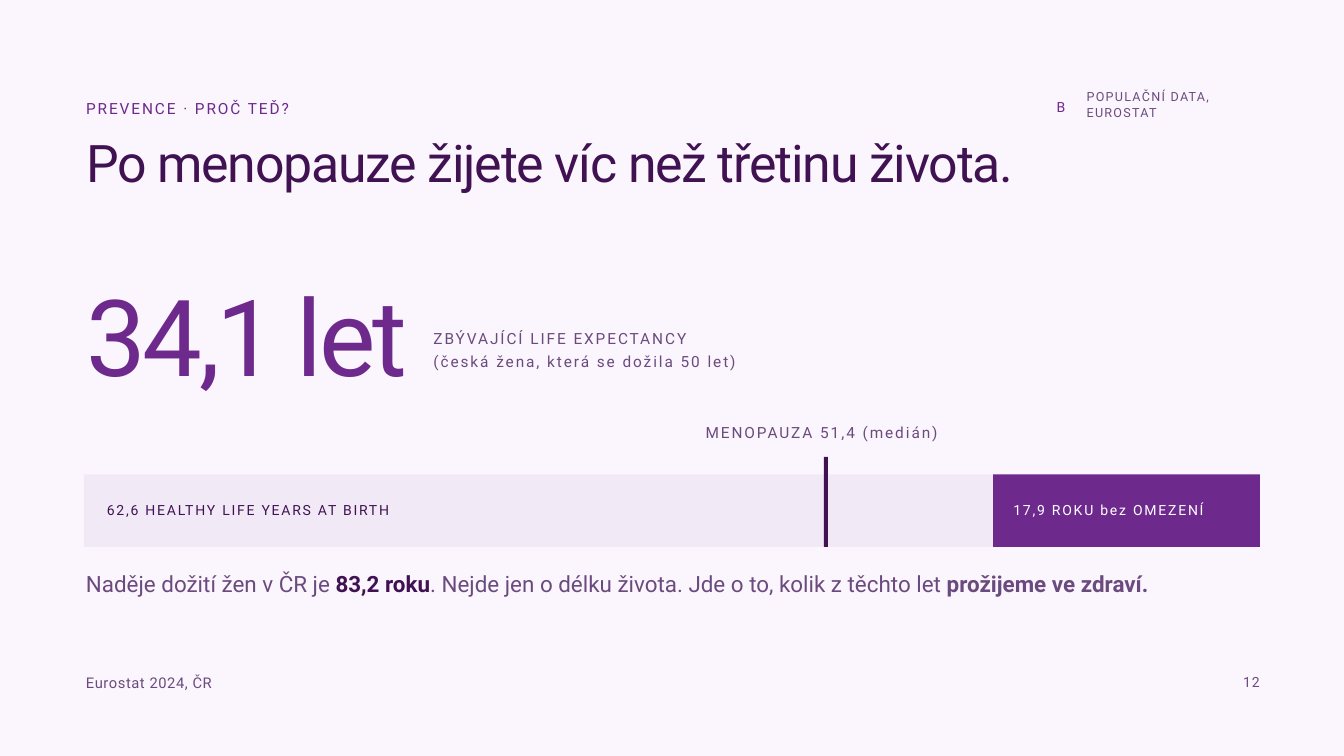
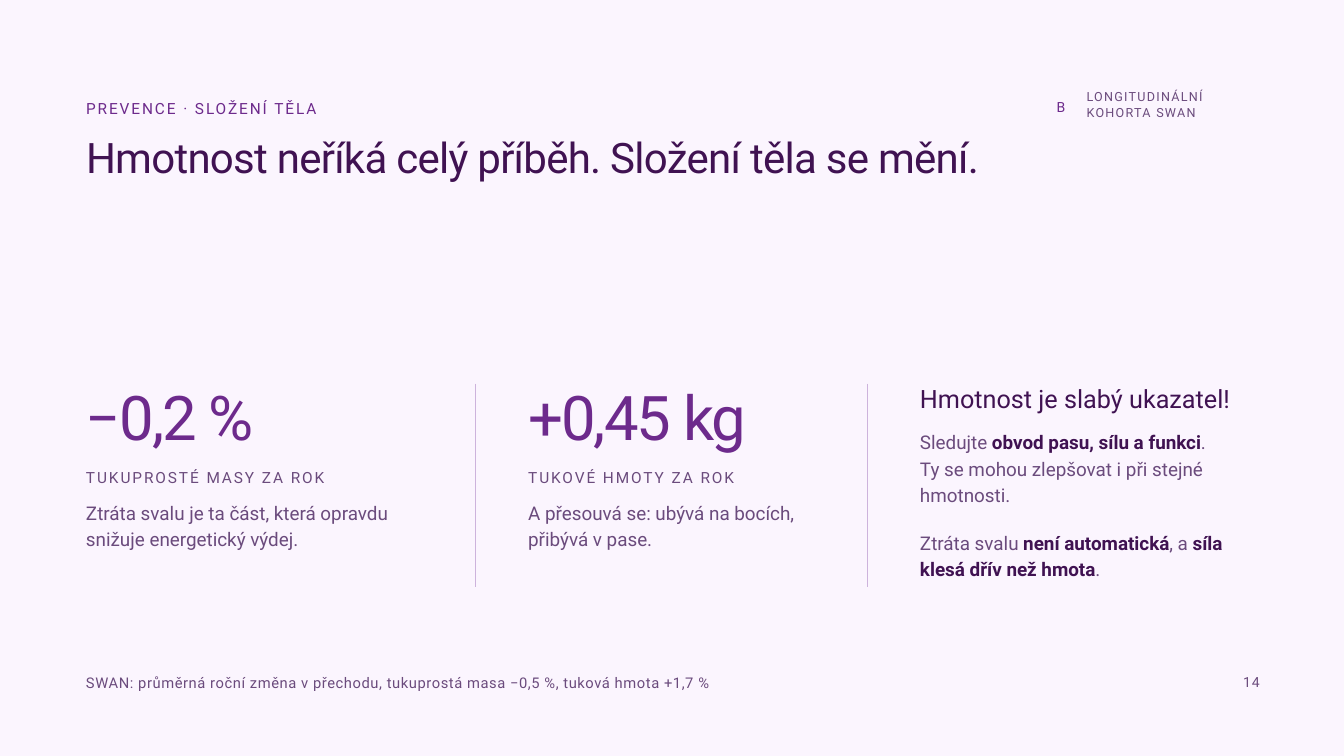
"""Build two slides on life after menopause: remaining years and body composition."""
from dataclasses import dataclass

from lxml import etree
from pptx import Presentation
from pptx.dml.color import RGBColor
from pptx.enum import shapes, text
from pptx.oxml import ns
from pptx.util import Inches, Pt

BACKGROUND = RGBColor(0xFB, 0xF5, 0xFE)
PURPLE = RGBColor(0x6D, 0x2A, 0x8C)
DARK = RGBColor(0x40, 0x12, 0x52)
MUTED = RGBColor(0x6B, 0x4B, 0x7D)
DIVIDER = RGBColor(0xCD, 0xB3, 0xDC)
WHITE = RGBColor(0xFF, 0xFF, 0xFF)
FONT = "Roboto"
MARGIN = 1.28


@dataclass(frozen=True)
class TextStyle:
    size: float
    leading: float
    color: RGBColor
    spacing: float = 0


EYEBROW = TextStyle(16.5, 24.8, PURPLE, 2.1)
CAPTION = TextStyle(16.5, 24.8, MUTED, 2.1)
TITLE = TextStyle(55.5, 56.7, DARK, -1.3)
LONG_TITLE = TextStyle(45, 47.4, DARK, -0.8)
GRADE = TextStyle(15, 22.4, PURPLE)
EVIDENCE = TextStyle(13.5, 16.8, MUTED, 1.4)
HERO = TextStyle(114, 94.5, PURPLE, -3.4)
FIGURE = TextStyle(66, 60.9, PURPLE, -2)
BAR_DARK = TextStyle(15, 22.4, DARK, 1.9)
BAR_WHITE = TextStyle(15, 22.4, WHITE, 1.9)
SUMMARY = TextStyle(24, 33.3, MUTED)
BODY = TextStyle(20.2, 28.1, MUTED)
HEADING = TextStyle(27, 30.1, DARK)
SOURCE = TextStyle(15.8, 22.8, MUTED, 0.6)
PAGE = TextStyle(15, 22.4, MUTED, 0.9)


class Deck:
    """Holds the presentation and the slide being drawn."""

    def __init__(self):
        self.presentation = Presentation()
        self.presentation.slide_width = Inches(20)
        self.presentation.slide_height = Inches(11.25)
        self.slide = None

    def add_slide(self, eyebrow, title, title_style, title_top, evidence, source, page):
        """Start a slide with its heading, evidence grade and footer."""
        self.slide = self.presentation.slides.add_slide(self.presentation.slide_layouts[6])
        fill = self.slide.background.fill
        fill.solid()
        fill.fore_color.rgb = BACKGROUND
        self.text(EYEBROW, MARGIN, 1.41, 4.22, 0.35, eyebrow)
        self.text(title_style, MARGIN, title_top, 15.99, 0.77, title)
        self.centered_text(GRADE, 15.56, 1.33, 0.46, 0.46, "B")
        self.text(EVIDENCE, 16.17, 1.32, 2.63, 0.51, evidence)
        self.text(SOURCE, MARGIN, 9.97, 14.84, 0.31, source)
        self.text(PAGE, 18.5, 9.96, 0.3, 0.39, page)

    def text(self, style, left, top, width, height, *paragraphs):
        """Add a text box; a paragraph is a string or a list of strings and (bold text, color)."""
        box = self.slide.shapes.add_textbox(
            Inches(left), Inches(top), Inches(width), Inches(height))
        frame = box.text_frame
        frame.word_wrap = True
        frame.auto_size = text.MSO_AUTO_SIZE.SHAPE_TO_FIT_TEXT
        frame.margin_left = frame.margin_right = frame.margin_top = frame.margin_bottom = 0
        for index, content in enumerate(paragraphs):
            paragraph = frame.add_paragraph() if index else frame.paragraphs[0]
            paragraph.line_spacing = Pt(style.leading)
            font = paragraph.font
            font.name, font.size = FONT, Pt(style.size)
            font.color.rgb = style.color
            if style.spacing:
                properties = paragraph._p.pPr.find(ns.qn("a:defRPr"))
                properties.set("spc", str(round(style.spacing * 100)))
            for piece in [content] if isinstance(content, str) else content:
                run = paragraph.add_run()
                if isinstance(piece, str):
                    run.text = piece
                else:
                    run.text, run.font.color.rgb = piece
                    run.font.bold = True
        return frame

    def centered_text(self, *arguments):
        """Add a fixed-size text box with its text in the middle."""
        frame = self.text(*arguments)
        frame.auto_size = text.MSO_AUTO_SIZE.NONE
        frame.vertical_anchor = text.MSO_ANCHOR.MIDDLE
        frame.paragraphs[0].alignment = text.PP_ALIGN.CENTER

    def bar(self, left, top, width, height, color, opacity=100):
        """Add a filled rectangle without an outline."""
        shape = self.slide.shapes.add_shape(
            shapes.MSO_SHAPE.RECTANGLE,
            Inches(left), Inches(top), Inches(width), Inches(height))
        shape.shadow.inherit = False
        shape.fill.solid()
        shape.fill.fore_color.rgb = color
        shape.line.fill.background()
        if opacity < 100:
            fill_color = shape._element.spPr.find(".//" + ns.qn("a:srgbClr"))
            etree.SubElement(fill_color, ns.qn("a:alpha"), val=str(opacity * 1000))

    def divider(self, x, top, bottom):
        """Add a thin vertical line."""
        line = self.slide.shapes.add_connector(
            shapes.MSO_CONNECTOR.STRAIGHT, Inches(x), Inches(top), Inches(x), Inches(bottom))
        line.line.color.rgb = DIVIDER
        line.line.width = Pt(0.75)
        etree.SubElement(line._element.spPr, ns.qn("a:effectLst"))

    def statistic(self, left, width, figure, caption, body):
        """Add a large figure with its caption and explanation."""
        self.text(FIGURE, left, 5.89, width, 0.85, figure)
        self.text(CAPTION, left, 6.89, width, 0.43, caption)
        self.text(BODY, left, 7.41, width, 0.88, body)


def add_life_expectancy(deck):
    """Draw the slide on the years left after menopause."""
    deck.add_slide("PREVENCE · PROČ TEĎ?", "Po menopauze žijete víc než třetinu života.",
                   TITLE, 2.08, "POPULAČNÍ DATA, EUROSTAT", "Eurostat 2024, ČR", "12")
    deck.text(HERO, MARGIN, 4.6, 4.81, 1.5, "34,1 let")
    deck.text(CAPTION, 6.45, 4.83, 12.3, 0.69,
              "ZBÝVAJÍCÍ LIFE EXPECTANCY", "(česká žena, která se dožila 50 let)")
    bar_left, bar_top, bar_height = 1.25, 7.06, 1.08
    healthy_width, limited_width = 13.53, 3.97
    limited_left = bar_left + healthy_width
    deck.bar(bar_left, bar_top, healthy_width, bar_height, PURPLE, opacity=6)
    deck.bar(limited_left, bar_top, limited_width, bar_height, PURPLE)
    deck.bar(12.26, 6.8, 0.06, 1.34, DARK)
    deck.text(CAPTION, 10.5, 6.23, 3.63, 0.35, "MENOPAUZA 51,4 (medián)")
    deck.text(BAR_DARK, 1.59, 7.4, 4.86, 0.3, "62,6 HEALTHY LIFE YEARS AT BIRTH")
    deck.text(BAR_WHITE, 15.08, 7.4, 3.08, 0.3, "17,9 ROKU bez OMEZENÍ")
    deck.text(SUMMARY, MARGIN, 8.42, 17.47, 0.46, [
        "Naděje dožití žen v ČR je ", ("83,2 roku", DARK),
        ". Nejde jen o délku života. Jde o to, kolik z těchto let ",
        ("prožijeme ve zdraví.", MUTED)])


def add_body_composition(deck):
    """Draw the slide on changing body composition."""
    deck.add_slide("PREVENCE · SLOŽENÍ TĚLA",
                   "Hmotnost neříká celý příběh. Složení těla se mění.",
                   LONG_TITLE, 2.05, "LONGITUDINÁLNÍ KOHORTA SWAN",
                   "SWAN: průměrná roční změna v přechodu, tukuprostá masa −0,5 %, "
                   "tuková hmota +1,7 %", "14")
    for x in (7.08, 12.91):
        deck.divider(x, 5.71, 8.73)
    deck.statistic(MARGIN, 5.17, "−0,2 %", "TUKUPROSTÉ MASY ZA ROK",
                   "Ztráta svalu je ta část, která opravdu snižuje energetický výdej.")
    deck.statistic(7.86, 4.4, "+0,45 kg", "TUKOVÉ HMOTY ZA ROK",
                   "A přesouvá se: ubývá na bocích, přibývá v pase.")
    advice_left, advice_width = 13.69, 5.18
    deck.text(HEADING, advice_left, 5.74, advice_width, 0.45, "Hmotnost je slabý ukazatel!")
    deck.text(BODY, advice_left, 6.36, advice_width, 1.16,
              ["Sledujte ", ("obvod pasu, sílu a funkci", DARK), "."],
              "Ty se mohou zlepšovat i při stejné hmotnosti.")
    deck.text(BODY, advice_left, 7.86, advice_width, 0.77,
              ["Ztráta svalu ", ("není automatická", DARK), ", a ",
               ("síla klesá dřív než hmota", DARK), "."])


def main():
    """Build and save the presentation."""
    deck = Deck()
    add_life_expectancy(deck)
    add_body_composition(deck)
    deck.presentation.save("out.pptx")


if __name__ == "__main__":
    main()
